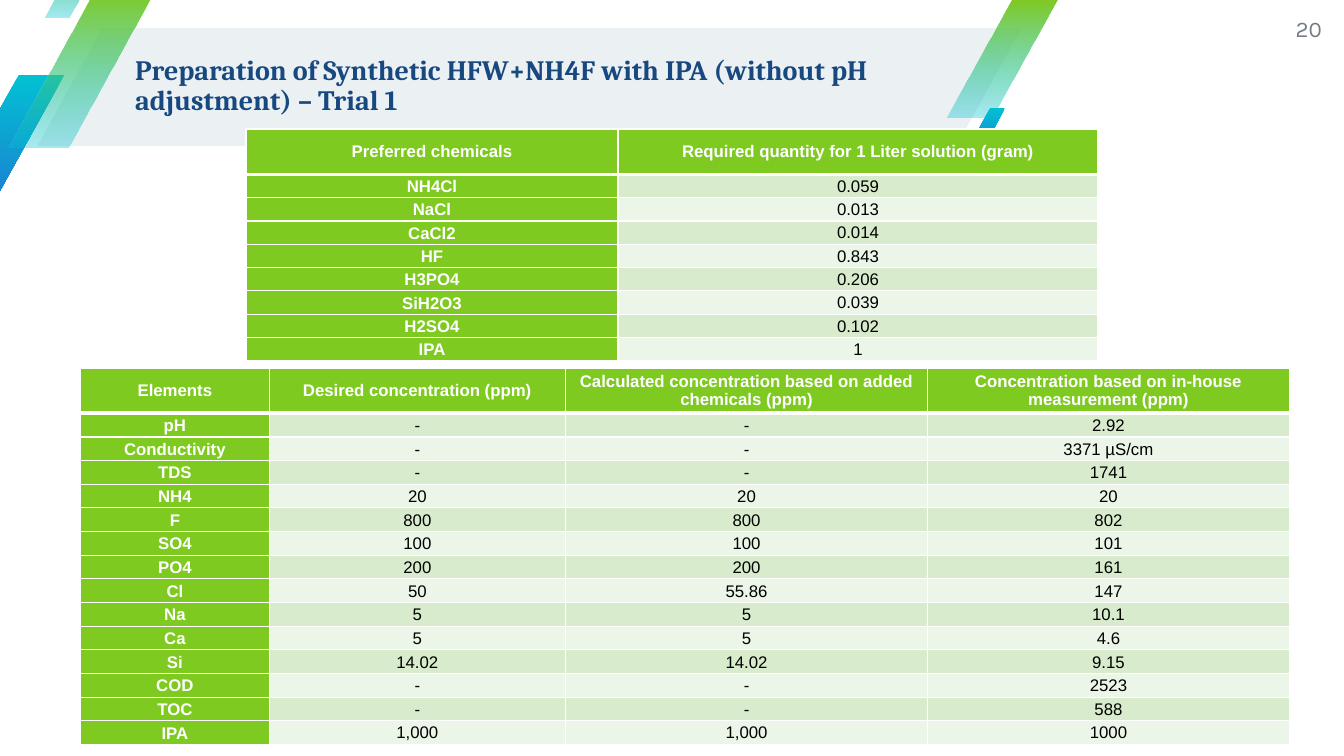
import pptx
import pptx.dml.color
import pptx.enum.shapes
import pptx.enum.text
import pptx.util
from lxml import etree
from pptx.oxml.ns import qn

Inches = pptx.util.Inches
Pt = pptx.util.Pt
RGBColor = pptx.dml.color.RGBColor
MIDDLE = pptx.enum.text.MSO_ANCHOR.MIDDLE
ALIGN = pptx.enum.text.PP_ALIGN

GREEN = RGBColor(0x7F, 0xCA, 0x20)
CYAN = RGBColor(0x02, 0xC1, 0xD3)
BLUE = RGBColor(0x19, 0x85, 0xD2)
NAVY = RGBColor(0x18, 0x48, 0x80)
GREY = RGBColor(0x75, 0x7C, 0x83)
BAND = RGBColor(0xEB, 0xF0, 0xF3)
ROW_DARK = RGBColor(0xD8, 0xEC, 0xCD)
ROW_LIGHT = RGBColor(0xEC, 0xF6, 0xE8)
WHITE = RGBColor(0xFF, 0xFF, 0xFF)
BLACK = RGBColor(0, 0, 0)

HEADER_HEIGHT = 0.45

CHEMICALS = [
    ("Preferred chemicals", "Required quantity for 1 Liter solution (gram)"),
    ("NH4Cl", "0.059"),
    ("NaCl", "0.013"),
    ("CaCl2", "0.014"),
    ("HF", "0.843"),
    ("H3PO4", "0.206"),
    ("SiH2O3", "0.039"),
    ("H2SO4", "0.102"),
    ("IPA", "1"),
]
CONCENTRATIONS = [
    ("Elements", "Desired concentration (ppm)",
     "Calculated concentration based on added chemicals (ppm)",
     "Concentration based on in-house measurement (ppm)"),
    ("pH", "-", "-", "2.92"),
    ("Conductivity", "-", "-", "3371 µS/cm"),
    ("TDS", "-", "-", "1741"),
    ("NH4", "20", "20", "20"),
    ("F", "800", "800", "802"),
    ("SO4", "100", "100", "101"),
    ("PO4", "200", "200", "161"),
    ("Cl", "50", "55.86", "147"),
    ("Na", "5", "5", "10.1"),
    ("Ca", "5", "5", "4.6"),
    ("Si", "14.02", "14.02", "9.15"),
    ("COD", "-", "-", "2523"),
    ("TOC", "-", "-", "588"),
    ("IPA", "1,000", "1,000", "1000"),
]

# left, top, width, height, slant, colours from top to bottom, end opacity in %
STRIPES = [
    (0.37, 0.28, 9.76, 1.17, 0.55, [BAND], 100),
    (-0.46, 0.74, 1.1, 1.17, 0.59, [CYAN, BLUE], 100),
    (9.39, 0, 1.1, 1.17, 0.59, [GREEN, CYAN], 34),
    (0.08, -0.1, 1.46, 1.56, 0.59, [GREEN, CYAN], 34),
    (0.44, -0.48, 0.61, 0.65, 0.59, [GREEN, CYAN], 34),
    (9.61, 1.07, 0.36, 0.39, 0.59, [CYAN, BLUE], 100),
]


def format_text(frame, font_name, size, color, bold, align):
    frame.word_wrap = True
    paragraph = frame.paragraphs[0]
    paragraph.alignment = align
    font = paragraph.runs[0].font
    font.name, font.size, font.bold = font_name, Pt(size), bold
    font.color.rgb = color


def add_border(cell, side, points):
    line = etree.SubElement(cell._tc.get_or_add_tcPr(), qn("a:ln" + side),
                            w=str(Pt(points)))
    fill = etree.SubElement(line, qn("a:solidFill"))
    etree.SubElement(fill, qn("a:srgbClr"), val=str(WHITE))


prs = pptx.Presentation()
prs.slide_width, prs.slide_height = Inches(13.33), Inches(7.5)
slide = prs.slides.add_slide(prs.slide_layouts[5])
shapes = slide.shapes

for left, top, width, height, slant, colors, opacity in STRIPES:
    stripe = shapes.add_shape(
        pptx.enum.shapes.MSO_SHAPE.PARALLELOGRAM,
        Inches(left), Inches(top), Inches(width), Inches(height))
    stripe.adjustments[0] = slant
    stripe.shadow.inherit = False
    stripe.line.fill.background()
    if len(colors) == 1:
        stripe.fill.solid()
        stripe.fill.fore_color.rgb = colors[0]
        continue
    stripe.fill.gradient()
    stripe.fill.gradient_angle = 270
    for position, (stop, color) in enumerate(zip(stripe.fill.gradient_stops, colors)):
        stop.position = position
        stop.color.rgb = color
    if opacity < 100:
        end_color = stripe._element.spPr.findall(".//" + qn("a:srgbClr"))[-1]
        etree.SubElement(end_color, qn("a:alpha"), val=str(opacity * 1000))

title = shapes.title
shapes._spTree.append(title._element)  # bring in front of the stripes
title.left, title.top = Inches(1.34), Inches(0.26)
title.width, title.height = Inches(8.79), Inches(1.19)
title.text_frame.text = ("Preparation of Synthetic HFW+NH4F with IPA "
                         "(without pH adjustment) – Trial 1")
title.text_frame.paragraphs[0].line_spacing = 0.9
format_text(title.text_frame, "Cambria", 20, NAVY, True, ALIGN.LEFT)

page_number = shapes.add_textbox(Inches(12.48), Inches(0), Inches(0.63), Inches(0.57))
page_number.text_frame.text = "20"
format_text(page_number.text_frame, "Karla", 16, GREY, False, ALIGN.RIGHT)

for frame in (title.text_frame, page_number.text_frame):
    frame.auto_size = pptx.enum.text.MSO_AUTO_SIZE.NONE
    frame.vertical_anchor = MIDDLE
    frame.margin_left = frame.margin_right = 0
    frame.margin_top = frame.margin_bottom = 0

for rows, left, top, height, column_widths in [
    (CHEMICALS, 2.44, 1.28, 2.3, [3.69, 4.76]),
    (CONCENTRATIONS, 0.8, 3.65, 3.74, [1.87, 2.94, 3.59, 3.59]),
]:
    table = shapes.add_table(
        len(rows), len(column_widths), Inches(left), Inches(top),
        Inches(sum(column_widths)), Inches(height)).table
    for column, width in zip(table.columns, column_widths):
        column.width = Inches(width)
    for r, row in enumerate(rows):
        body_height = (height - HEADER_HEIGHT) / (len(rows) - 1)
        table.rows[r].height = Inches(body_height if r else HEADER_HEIGHT)
        for c, value in enumerate(row):
            cell = table.cell(r, c)
            is_label = r == 0 or c == 0
            cell.text_frame.text = value
            format_text(cell.text_frame, "Arial", 12, WHITE if is_label else BLACK,
                        is_label, ALIGN.CENTER)
            if r and c == 0:
                cell.text_frame.paragraphs[0].line_spacing = 1.07
                cell.text_frame.paragraphs[0].space_after = Pt(8)
            cell.vertical_anchor = MIDDLE
            cell.margin_left = cell.margin_right = Inches(0.03 if is_label else 0.01)
            cell.margin_top = Inches(0 if is_label else 0.01)
            cell.margin_bottom = 0
            for side in "LRTB":
                thick = (r == 0 and side == "B") or (r == 1 and side == "T")
                add_border(cell, side, 3 if thick else 1)
            cell.fill.solid()
            cell.fill.fore_color.rgb = (
                GREEN if is_label else ROW_DARK if r % 2 else ROW_LIGHT)

prs.save("out.pptx")
